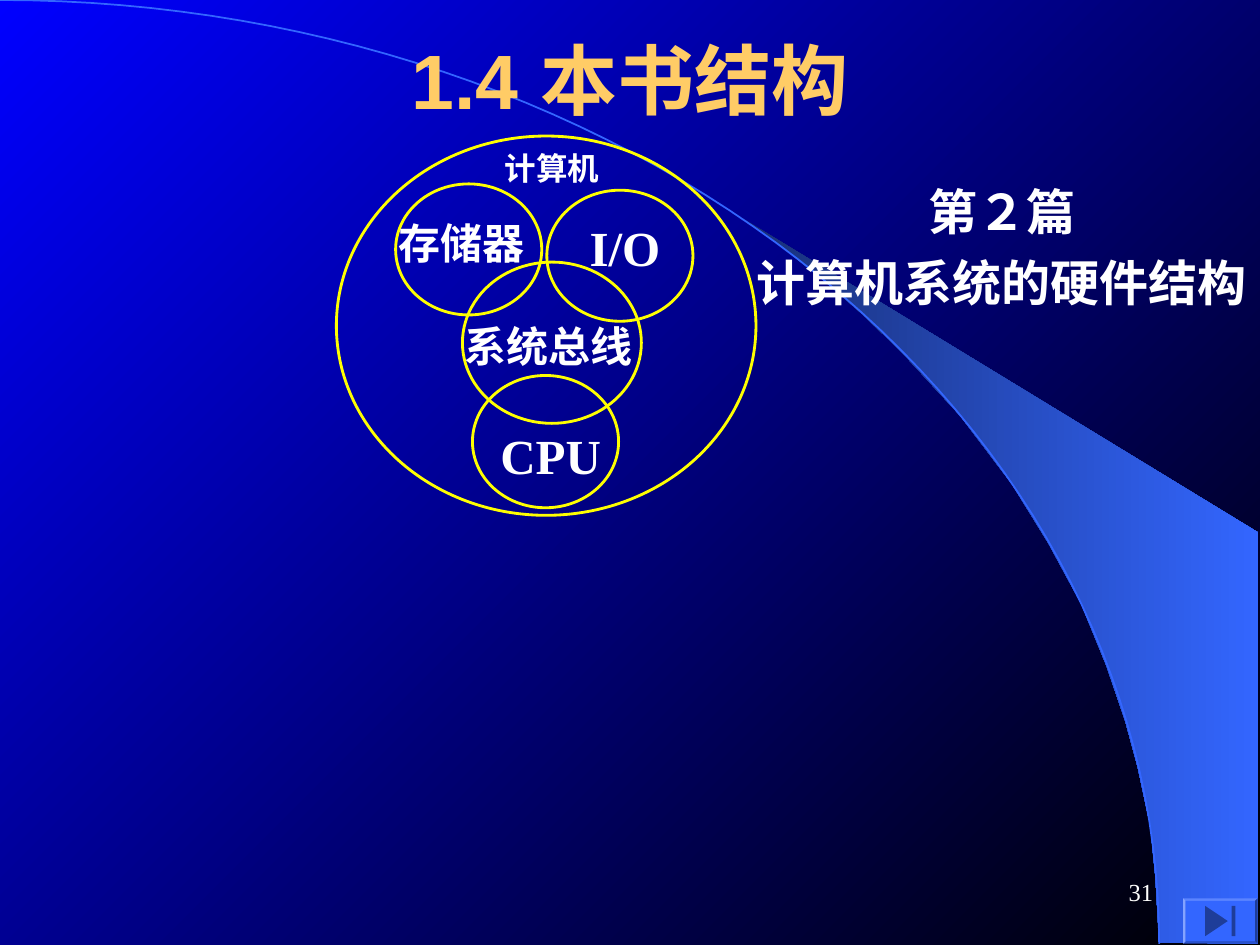
import math
from dataclasses import dataclass

import lxml.etree
import pptx
import pptx.dml.color
import pptx.enum.shapes
import pptx.enum.text
import pptx.oxml.ns
import pptx.util

Inches = pptx.util.Inches
Pt = pptx.util.Pt
Shape = pptx.enum.shapes.MSO_SHAPE
Align = pptx.enum.text.PP_ALIGN
Anchor = pptx.enum.text.MSO_ANCHOR


@dataclass(frozen=True)
class Theme:
    sky: str = "0000FF"
    night: str = "000000"
    beam: str = "3366FF"
    beam_shade: str = "182F76"
    title: str = "FFCC66"
    text: str = "FFFFFF"
    ring: str = "FFFF00"
    heading_font: str = "Arial"
    chinese_font: str = "Noto Sans CJK SC"
    latin_font: str = "Times New Roman"
    title_size: int = 44
    large: int = 28
    medium: int = 24
    small: int = 18
    number_size: int = 14
    ring_width: float = 1.62
    arc_width: float = 1


def rgb(value):
    return pptx.dml.color.RGBColor.from_string(value)


class Page:
    def __init__(self, deck, theme):
        self.theme = theme
        self.slide = deck.slides.add_slide(deck.slide_layouts[6])
        self.shapes = self.slide.shapes

    def gradient(self, fill, start, end, angle):
        fill.gradient()
        fill.gradient_angle = angle
        for stop, color, position in zip(fill.gradient_stops, (start, end), (0, 1)):
            stop.color.rgb = rgb(color)
            stop.position = position

    def outline(self, points, closed):
        builder = self.shapes.build_freeform(
            Inches(points[0][0]), Inches(points[0][1]))
        builder.add_line_segments(
            [(Inches(x), Inches(y)) for x, y in points[1:]], close=closed)
        shape = builder.convert_to_shape()
        shape.shadow.inherit = False
        return shape

    def beam(self, points):
        shape = self.outline(points, True)
        self.gradient(shape.fill, self.theme.beam_shade, self.theme.beam, 0)
        shape.line.fill.background()

    def arc(self, width, height, steps=60):
        angles = [math.pi / 2 * step / steps for step in range(steps + 1)]
        shape = self.outline(
            [(width * math.sin(a), height * (1 - math.cos(a))) for a in angles], False)
        shape.fill.background()
        shape.line.color.rgb = rgb(self.theme.beam)
        shape.line.width = Pt(self.theme.arc_width)

    def preset(self, kind, left, top, width, height):
        shape = self.shapes.add_shape(
            kind, Inches(left), Inches(top), Inches(width), Inches(height))
        shape.shadow.inherit = False
        return shape

    def ring(self, left, top, width, height):
        shape = self.preset(Shape.OVAL, left, top, width, height)
        shape.fill.background()
        shape.line.color.rgb = rgb(self.theme.ring)
        shape.line.width = Pt(self.theme.ring_width)

    def end_button(self, left, top, width, height, edge=0.02):
        frame = self.preset(Shape.BEVEL, left, top, width, height)
        frame.adjustments[0] = edge / height
        face = self.preset(Shape.ACTION_BUTTON_END, left + edge, top + edge,
                           width - 2 * edge, height - 2 * edge)
        for shape in (frame, face):
            shape.fill.solid()
            shape.fill.fore_color.rgb = rgb(self.theme.beam)
            shape.line.fill.background()

    def text(self, lines, left, top, width, height, size, font, color=None,
             bold=True, align=Align.CENTER, anchor=Anchor.TOP,
             wrap=False, margins=(0, 0)):
        box = self.shapes.add_textbox(
            Inches(left), Inches(top), Inches(width), Inches(height))
        frame = box.text_frame
        frame.word_wrap = wrap
        frame.vertical_anchor = anchor
        frame.margin_left = frame.margin_right = Inches(margins[0])
        frame.margin_top = frame.margin_bottom = Inches(margins[1])
        for index, line in enumerate(lines):
            para = frame.paragraphs[0] if index == 0 else frame.add_paragraph()
            para.text = line
            para.alignment = align
            if index:
                para.space_before = Pt(size / 4)
            para.font.size = Pt(size)
            para.font.bold = bold
            para.font.color.rgb = rgb(color or self.theme.text)
            para.font.name = font
            for span in para.runs:
                east_asian = lxml.etree.SubElement(
                    span.font._element, pptx.oxml.ns.qn("a:ea"))
                east_asian.set("typeface", self.theme.chinese_font)


def main():
    theme = Theme()
    deck = pptx.Presentation()
    deck.slide_width, deck.slide_height = Inches(10), Inches(7.5)
    page = Page(deck, theme)
    page.gradient(page.slide.background.fill, theme.sky, theme.night, 315)

    page.beam([
        (9.2, 7.48), (9.99, 7.49), (9.99, 4.23), (5.89, 1.73), (6.24, 1.99),
        (6.53, 2.22), (6.85, 2.5), (7.16, 2.8), (7.62, 3.3), (8.03, 3.84),
        (8.32, 4.31), (8.58, 4.79), (8.78, 5.28), (8.93, 5.72), (9.03, 6.09),
        (9.13, 6.56), (9.17, 6.96)])
    page.arc(9.2, 7.49)

    inset = (0.1, 0.05)
    page.text(["1.4 本书结构"], 0.75, 0, 8.5, 1.25, theme.title_size,
              theme.heading_font, theme.title, anchor=Anchor.MIDDLE,
              wrap=True, margins=inset)
    page.text(["第２篇", "计算机系统的硬件结构"], 5.91, 1.39, 4.08, 1.13,
              theme.large, theme.chinese_font, margins=inset)

    for ring in [
        (2.67, 1.08, 3.33, 3.01),
        (3.67, 2.08, 1.42, 1.28),
        (3.14, 1.46, 1.16, 1.04),
        (4.34, 1.51, 1.16, 1.04),
        (3.75, 2.98, 1.16, 1.05),
    ]:
        page.ring(*ring)

    for label, left, top, width, height, size, font in [
        ("计算机", 4, 1.18, 0.76, 0.3, theme.small, theme.chinese_font),
        ("存储器", 3.15, 1.73, 1.02, 0.4, theme.medium, theme.chinese_font),
        ("I/O", 4.55, 1.73, 0.82, 0.47, theme.large, theme.latin_font),
        ("系统总线", 3.65, 2.54, 1.41, 0.4, theme.medium, theme.chinese_font),
        ("CPU", 3.97, 3.38, 0.8, 0.47, theme.large, theme.latin_font),
    ]:
        page.text([label], left, top, width, height, size, font)

    page.end_button(9.39, 7.13, 0.59, 0.36)
    page.text(["31"], 7.17, 6.83, 2.08, 0.5, theme.number_size, theme.latin_font,
              bold=False, align=Align.RIGHT, anchor=Anchor.MIDDLE,
              wrap=True, margins=inset)
    deck.save("out.pptx")


if __name__ == "__main__":
    main()
